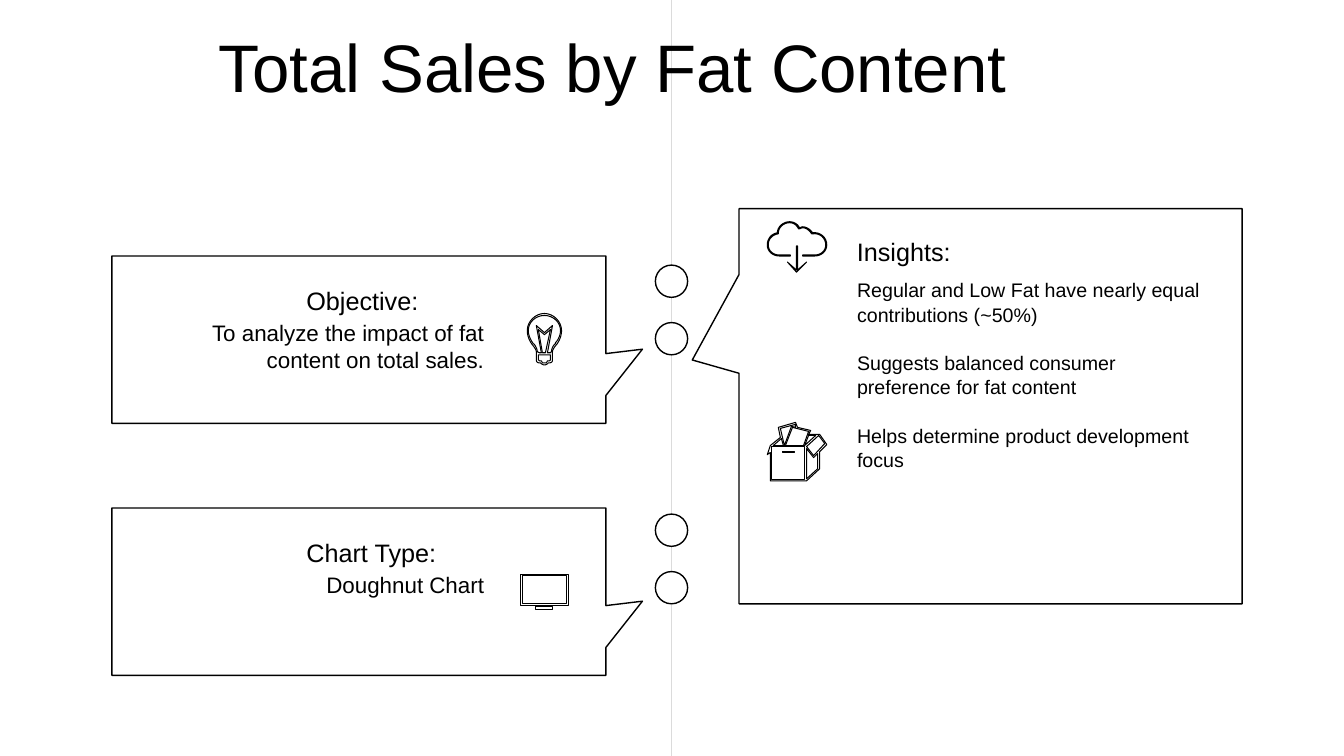
import pptx
import pptx.dml.color
import pptx.enum.shapes
import pptx.enum.text
import pptx.oxml.ns
import pptx.util
from lxml import etree
from pptx.util import Inches

COLORS = {"ink": "000000", "paper": "FFFFFF"}
INK = pptx.dml.color.RGBColor.from_string(COLORS["ink"])
PAPER = pptx.dml.color.RGBColor.from_string(COLORS["paper"])
SHAPE = pptx.enum.shapes.MSO_SHAPE
ALIGN = pptx.enum.text.PP_ALIGN
AUTO_SIZE = pptx.enum.text.MSO_AUTO_SIZE
qn = pptx.oxml.ns.qn


def paint(shape, width, alpha=None):
    """Give a shape a white fill, an optional opacity in percent and a black outline."""
    shape.shadow.inherit = False
    shape.fill.solid()
    shape.fill.fore_color.rgb = PAPER
    shape.line.color.rgb = INK
    shape.line.width = pptx.util.Pt(width)
    if alpha:
        color = shape.fill._xPr.find(qn("a:solidFill"))[0]
        etree.SubElement(color, qn("a:alpha"), val=str(alpha * 1000))


def draw_icon(contours):
    """Draw closed contours as one freeform; a six-number step is a Bezier curve."""
    builder = None
    for contour in contours:
        points = [contour[0]]
        for step in contour[1:]:
            if len(step) == 2:
                points.append(step)
                continue
            x0, y0 = points[-1]
            x1, y1, x2, y2, x3, y3 = step
            for t in (i / 8 for i in range(1, 9)):
                u = 1 - t
                a, b, c, d = u ** 3, 3 * u * u * t, 3 * u * t * t, t ** 3
                points.append((a * x0 + b * x1 + c * x2 + d * x3,
                               a * y0 + b * y1 + c * y2 + d * y3))
        points = [(Inches(x), Inches(y)) for x, y in points]
        if builder is None:
            builder = s.shapes.build_freeform(*points[0], scale=1.0)
        else:
            builder.move_to(*points[0])
        builder.add_line_segments(points[1:], close=True)
    paint(builder.convert_to_shape(), 0.75)


prs = pptx.Presentation()
prs.slide_width, prs.slide_height = Inches(13.33), Inches(7.5)
s = prs.slides.add_slide(prs.slide_layouts[1])
title, body = s.placeholders

# Timeline: circles joined by line pieces
axis, diameter = 6.66, 0.32
circle_tops = [2.63, 3.2, 5.1, 5.67]
starts = [0] + [top + diameter for top in circle_tops]
ends = circle_tops + [7.5]
for start, end in zip(starts, ends):
    line = s.shapes.add_connector(pptx.enum.shapes.MSO_CONNECTOR.STRAIGHT, Inches(axis),
                                  Inches(start), Inches(axis), Inches(end))
    line.line.color.rgb = INK
    line.line.width = pptx.util.Pt(0.25)
    color = line.line.fill._xPr.find(qn("a:solidFill"))[0]
    etree.SubElement(color, qn("a:alpha"), val="40000")
    etree.SubElement(line._element.spPr, qn("a:effectLst"))
for top in circle_tops:
    circle = s.shapes.add_shape(SHAPE.OVAL, Inches(axis - diameter / 2), Inches(top),
                                Inches(diameter), Inches(diameter))
    paint(circle, 1, alpha=20)

# Callouts: left, top, width, height, tail x, tail y
for *box, tail_x, tail_y in [
    (7.33, 2.07, 4.99, 3.92, -0.593, -0.117),
    (1.11, 5.04, 4.9, 1.66, 0.574, 0.057),
    (1.11, 2.54, 4.9, 1.66, 0.574, 0.057),
]:
    callout = s.shapes.add_shape(SHAPE.RECTANGULAR_CALLOUT, *map(Inches, box))
    callout.adjustments[0], callout.adjustments[1] = tail_x, tail_y
    paint(callout, 1, alpha=20)

# Headings and short texts: text, size, left, top, width, height, wrap
for text, size, *box, wrap in [
    ("Insights:", 18, 8.4, 2.3, 1.13, 0.4, False),
    ("Objective:", 18, 2.94, 2.78, 1.31, 0.4, False),
    ("To analyze the impact of fat content on total sales.", 16, 1.66, 3.12, 3.24, 0.91, True),
    ("Chart Type:", 18, 2.94, 5.28, 1.49, 0.4, False),
    ("Doughnut Chart", 16, 1.66, 5.62, 3.24, 0.37, True),
]:
    tf = s.shapes.add_textbox(*map(Inches, box)).text_frame
    tf.word_wrap = wrap
    tf.text = text
    p = tf.paragraphs[0]
    p.alignment = ALIGN.RIGHT if wrap else ALIGN.LEFT
    p.runs[0].font.size = pptx.util.Pt(size)

# Insight list and title, placed above the callouts
for sp, box, lines, size, spacing, gap in [
    (body, (8.4, 2.7, 3.62, 1.98),
     ["Regular and Low Fat have nearly equal contributions (~50%)",
      "Suggests balanced consumer preference for fat content",
      "Helps determine product development focus"], 14, 1.04, 17),
    (title, (2.07, 0.22, 8.99, 0.89), ["Total Sales by Fat Content"], 48, 0.9, 0),
]:
    s.shapes._spTree.append(sp._element)
    sp.left, sp.top, sp.width, sp.height = map(Inches, box)
    tf = sp.text_frame
    tf.text = "\n".join(lines)
    tf.word_wrap = True
    tf.auto_size = AUTO_SIZE.NONE
    for i, p in enumerate(tf.paragraphs):
        p.alignment = ALIGN.LEFT
        p.line_spacing = spacing
        p.space_before = pptx.util.Pt(gap if i else 0)
        p.runs[0].font.size = pptx.util.Pt(size)
        pPr = p._p.get_or_add_pPr()
        pPr.set("marL", "0")
        pPr.set("indent", "0")
        etree.SubElement(pPr, qn("a:buNone"))
title.text_frame.vertical_anchor = pptx.enum.text.MSO_ANCHOR.BOTTOM

for sp in s.shapes:
    if sp.has_text_frame:
        for p in sp.text_frame.paragraphs:
            for r in p.runs:
                r.font.name = "Arial"
                r.font.color.rgb = INK

# Cloud with download arrow
draw_icon([[(7.81, 2.6), (7.9, 2.7), (8, 2.6), (7.91, 2.68), (7.91, 2.44),
            (7.9, 2.44), (7.9, 2.68)]])
draw_icon([[
    (8.06, 2.31), (8.04, 2.28, 8, 2.25, 7.96, 2.25), (7.95, 2.25, 7.94, 2.26, 7.93, 2.26),
    (7.91, 2.22, 7.87, 2.2, 7.83, 2.2), (7.77, 2.2, 7.71, 2.25, 7.71, 2.31),
    (7.65, 2.32, 7.61, 2.37, 7.61, 2.43), (7.61, 2.49, 7.66, 2.54, 7.73, 2.54),
    (7.84, 2.54), (7.84, 2.53), (7.73, 2.53), (7.67, 2.53, 7.62, 2.49, 7.62, 2.43),
    (7.62, 2.37, 7.66, 2.33, 7.72, 2.32), (7.72, 2.31), (7.72, 2.26, 7.77, 2.21, 7.83, 2.21),
    (7.87, 2.21, 7.9, 2.23, 7.92, 2.27), (7.93, 2.27), (7.94, 2.27, 7.95, 2.26, 7.96, 2.26),
    (8, 2.26, 8.03, 2.29, 8.05, 2.32), (8.06, 2.32), (8.13, 2.31, 8.19, 2.36, 8.19, 2.43),
    (8.19, 2.49, 8.14, 2.53, 8.08, 2.53), (7.96, 2.53), (7.96, 2.54), (8.08, 2.54),
    (8.15, 2.54, 8.2, 2.49, 8.2, 2.43), (8.2, 2.35, 8.13, 2.3, 8.06, 2.31)]])

# Box of papers
handle = s.shapes.add_shape(SHAPE.RECTANGLE, Inches(7.76), Inches(4.48), Inches(0.12), Inches(0.01))
paint(handle, 0.75)
draw_icon([
    [(8.2, 4.41), (8.13, 4.31), (8.02, 4.31), (8.04, 4.27), (7.91, 4.24), (7.89, 4.19),
     (7.72, 4.24), (7.74, 4.34), (7.64, 4.42), (7.61, 4.51), (7.64, 4.49), (7.64, 4.77),
     (8, 4.77), (8.13, 4.65), (8.13, 4.48)],
    [(8.18, 4.4), (8.07, 4.52), (8, 4.43), (8.12, 4.32)],
    [(8.09, 4.32), (7.98, 4.42), (8.02, 4.32)],
    [(7.97, 4.42), (7.79, 4.42), (7.86, 4.24), (8.02, 4.28)],
    [(7.89, 4.21), (7.89, 4.24), (7.85, 4.23), (7.78, 4.42), (7.74, 4.25)],
    [(7.75, 4.35), (7.77, 4.42), (7.67, 4.42)],
    [(7.98, 4.76), (7.65, 4.76), (7.65, 4.43), (7.98, 4.43)],
    [(8.11, 4.65), (8, 4.75), (8, 4.45), (8.07, 4.54), (8.11, 4.5)]])

# Monitor and its stand
draw_icon([[(5.16, 5.7), (5.16, 6.01), (5.64, 6.01), (5.64, 5.7)],
           [(5.62, 5.99), (5.18, 5.99), (5.18, 5.71), (5.62, 5.71)]])
draw_icon([[(5.31, 6.05), (5.48, 6.05), (5.48, 6.02), (5.31, 6.02)]])

# Light bulb: glass and base, base inside, filament, glass inside
draw_icon([
    [(5.4, 3.11), (5.31, 3.11, 5.23, 3.19, 5.23, 3.28), (5.23, 3.33, 5.25, 3.38, 5.28, 3.42),
     (5.29, 3.43, 5.32, 3.47, 5.32, 3.49), (5.32, 3.57), (5.32, 3.59, 5.33, 3.6, 5.35, 3.6),
     (5.36, 3.6), (5.37, 3.61), (5.39, 3.62), (5.41, 3.62), (5.43, 3.61), (5.44, 3.6),
     (5.45, 3.6), (5.47, 3.6, 5.48, 3.59, 5.48, 3.57), (5.48, 3.49),
     (5.48, 3.47, 5.5, 3.44, 5.52, 3.42), (5.55, 3.38, 5.57, 3.33, 5.57, 3.28),
     (5.57, 3.19, 5.49, 3.11, 5.4, 3.11)],
    [(5.45, 3.58), (5.43, 3.58), (5.42, 3.6), (5.38, 3.6), (5.37, 3.58), (5.35, 3.58),
     (5.34, 3.57), (5.34, 3.52), (5.46, 3.52), (5.46, 3.57)],
    [(5.38, 3.5), (5.34, 3.27), (5.4, 3.32), (5.46, 3.27), (5.41, 3.5)],
    [(5.51, 3.4), (5.51, 3.41), (5.49, 3.42, 5.47, 3.46, 5.47, 3.49), (5.46, 3.5), (5.43, 3.5),
     (5.48, 3.23), (5.4, 3.3), (5.32, 3.23), (5.37, 3.5), (5.35, 3.5), (5.33, 3.49),
     (5.33, 3.46, 5.3, 3.41, 5.29, 3.41), (5.26, 3.37, 5.24, 3.32, 5.24, 3.28),
     (5.24, 3.2, 5.31, 3.13, 5.4, 3.13), (5.49, 3.13, 5.56, 3.2, 5.56, 3.28),
     (5.56, 3.32, 5.54, 3.37, 5.51, 3.4)]])

prs.save("out.pptx")
